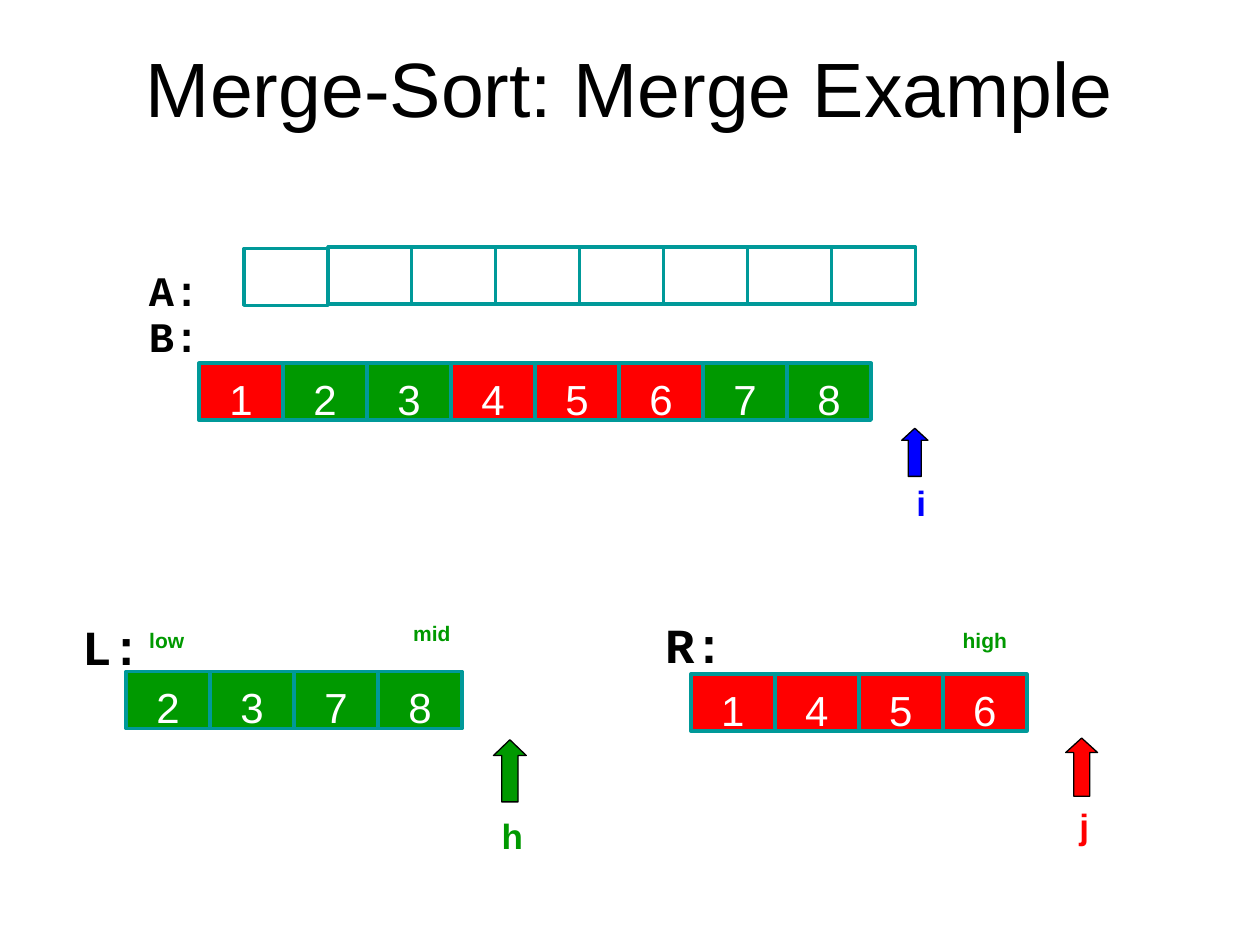
from pptx import Presentation
from pptx.dml.color import RGBColor
from pptx.enum.shapes import MSO_SHAPE
from pptx.enum.text import MSO_ANCHOR, PP_ALIGN
from pptx.util import Pt

THEME = {
    "black": "000000", "white": "FFFFFF", "red": "FF0000",
    "green": "009900", "blue": "0000FF", "teal": "009999",
    "sans": "Arial", "mono": "Courier New",
    "title": 44, "list": 28, "cell": 24, "index": 20, "note": 12,
}
CELL_W, CELL_H = 48, 32.5
DROP = {"sans": 0.09, "mono": 0.19}  # extra space above a line, per point of type

# Content: rows of cells as (left, top, values, fills)
R, G, W = "red", "green", "white"
MERGED = (113.75, 207.5, "12345678", [R, G, G, R, R, R, G, G])
LEFT = (72, 383.75, "2378", [G] * 4)
RIGHT = (394.75, 385.25, "1456", [R] * 4)
TARGET = (187.25, 141.25, [""] * 7, [W] * 7)
FIRST = (139.5, 142, [""], [W])

# Labels: text, box, size, face, colour, bold, align, side inset, top inset
L, C = PP_ALIGN.LEFT, PP_ALIGN.CENTER
LABELS = [
    ("Merge-Sort: Merge Example", (54, 0, 612, 90), "title", "sans", "black", False, C, 7.2, 19),
    ("A:", (78, 143, 50, 36), "cell", "mono", "black", True, L, 7.2, 3.6),
    ("B:", (78, 169, 50, 36), "cell", "mono", "black", True, L, 7.2, 3.6),
    ("L:", (47, 343.5, 34, 41), "list", "mono", "black", True, L, 0, 3.6),
    ("R:", (380, 342, 34, 41), "list", "mono", "black", True, L, 0, 3.6),
    ("h", (275.5, 460, 34.5, 31.5), "index", "sans", "green", True, C, 0, 3.6),
    ("j", (592.5, 454.5, 54, 31.5), "index", "sans", "red", True, C, 7.2, 3.6),
    ("i", (497.5, 270, 58, 31.5), "index", "sans", "blue", True, C, 7.2, 3.6),
    ("mid", (229.5, 350, 34.5, 21.5), "note", "sans", "green", True, C, 0, 3.6),
    ("high", (545.5, 354, 34.5, 21.5), "note", "sans", "green", True, C, 0, 3.6),
    ("low", (78, 354, 34.5, 21.5), "note", "sans", "green", True, C, 0, 3.6),
]

# Index arrows: box, head ratio, colour
ARROWS = [
    ((282, 422.75, 18.75, 35.5), 0.48, "green"),
    ((609, 421.75, 18.25, 33.25), 0.455, "red"),
    ((515.25, 244.75, 15, 27.5), 0.46, "blue"),
]

deck = Presentation()
deck.slide_width, deck.slide_height = Pt(720), Pt(540)
slide = deck.slides.add_slide(deck.slide_layouts[6])


def tint(name):
    return RGBColor.from_string(THEME[name])


def place(box):
    return [Pt(n) for n in box]


def write(shape, text, size, face, color, bold, align, side, top):
    frame = shape.text_frame
    points = THEME[size]
    form = {
        "word_wrap": True, "vertical_anchor": MSO_ANCHOR.TOP,
        "margin_left": Pt(side), "margin_right": Pt(side),
        "margin_top": Pt(top + DROP[face] * points), "margin_bottom": 0,
    }
    for key, value in form.items():
        setattr(frame, key, value)
    para = frame.paragraphs[0]
    para.alignment = align
    run = para.add_run()
    run.text = text
    style = {"name": THEME[face], "size": Pt(points), "bold": bold}
    for key, value in style.items():
        setattr(run.font, key, value)
    run.font.color.rgb = tint(color)


def draw(kind, box, fill, line, width):
    shape = slide.shapes.add_shape(kind, *place(box))
    shape.shadow.inherit = False
    shape.fill.solid()
    shape.fill.fore_color.rgb = tint(fill)
    shape.line.color.rgb = tint(line)
    shape.line.width = Pt(width)
    return shape


def row(left, top, values, fills):
    for n, (value, fill) in enumerate(zip(values, fills)):
        box = (left + n * CELL_W, top, CELL_W, CELL_H)
        cell = draw(MSO_SHAPE.RECTANGLE, box, fill, "teal", 2)
        if value:
            write(cell, value, "cell", "sans", "white", False, C, 7.2, 3.6)


# Arrays
for data in (MERGED, LEFT, RIGHT, TARGET, FIRST):
    row(*data)

# Index arrows
for box, head, color in ARROWS:
    arrow = draw(MSO_SHAPE.UP_ARROW, box, color, "black", 0.75)
    arrow.adjustments[0] = 0.5
    arrow.adjustments[1] = head

# Title and labels
for text, box, *style in LABELS:
    write(slide.shapes.add_textbox(*place(box)), text, *style)

deck.save("out.pptx")
